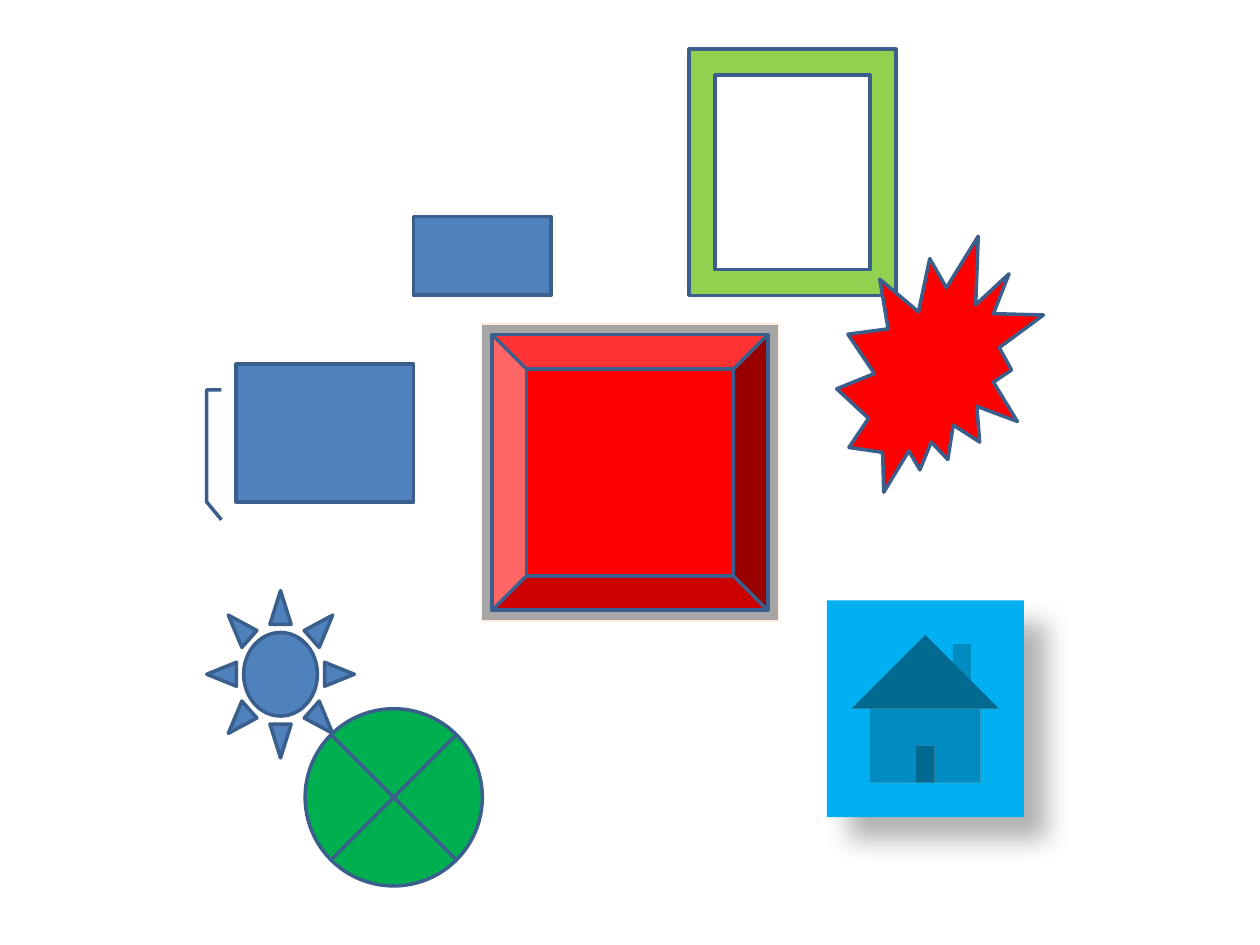
from dataclasses import dataclass

from lxml import etree
from pptx import Presentation
from pptx.dml.color import RGBColor
from pptx.enum.shapes import MSO_SHAPE as Preset
from pptx.oxml.ns import qn
from pptx.util import Inches, Pt


@dataclass(frozen=True)
class Theme:
    red: str = "FF0000"
    lime: str = "92D050"
    green: str = "00B050"
    blue: str = "4F81BD"
    sky: str = "00B0F0"
    grey: str = "A6A6A6"
    cream: str = "FDEADA"
    outline: str = "3A5F8C"
    shadow: str = "000000"
    thin: float = 1
    thick: float = 2


class ShapeBoard:
    """Places preset shapes on a grid of 128 columns by 96 rows."""

    columns, rows = 128, 96

    def __init__(self, deck, theme):
        self.theme = theme
        self.page = deck.slides.add_slide(deck.slide_layouts[6])
        self.column = deck.slide_width / self.columns
        self.row = deck.slide_height / self.rows

    def shape(self, preset, cell, fill, line=None, weight=None):
        left, top, width, height = cell
        box = self.page.shapes.add_shape(
            preset, round(left * self.column), round(top * self.row),
            round(width * self.column), round(height * self.row))
        box.shadow.inherit = False
        box.fill.solid()
        box.fill.fore_color.rgb = RGBColor.from_string(fill)
        if line:
            box.line.color.rgb = RGBColor.from_string(line)
            box.line.width = Pt(weight)
        else:
            box.line.fill.background()
        return box

    def outlined(self, preset, cell, fill):
        return self.shape(preset, cell, fill, self.theme.outline, self.theme.thick)

    def matted(self, preset, cell, fill, margin):
        left, top, width, height = cell
        mat = (left - margin, top - margin, width + 2 * margin, height + 2 * margin)
        self.shape(Preset.RECTANGLE, mat, self.theme.grey, self.theme.cream, self.theme.thin)
        return self.outlined(preset, cell, fill)

    def shadowed(self, preset, cell, fill, blur, distance, angle, opacity):
        box = self.shape(preset, cell, fill)
        effects = box._element.spPr.find(qn("a:effectLst"))
        shadow = etree.SubElement(effects, qn("a:outerShdw"))
        values = {"blurRad": Pt(blur), "dist": Pt(distance), "dir": angle * 60000,
                  "algn": "tl", "rotWithShape": 0}
        for name, value in values.items():
            shadow.set(name, str(value))
        color = etree.SubElement(shadow, qn("a:srgbClr"), val=self.theme.shadow)
        etree.SubElement(color, qn("a:alpha"), val=str(opacity * 1000))
        return box


def main():
    deck = Presentation()
    deck.slide_width, deck.slide_height = Inches(10), Inches(7.5)
    theme = Theme()
    board = ShapeBoard(deck, theme)

    # Bevelled square on a grey mat
    board.matted(Preset.BEVEL, (50, 34, 28, 28), theme.red, margin=1.1)

    # Outlined shapes, back to front: preset, cell, fill
    for preset, cell, fill in (
        (Preset.FRAME, (70, 5, 21, 25), theme.lime),
        (Preset.LINE_CALLOUT_3, (24, 37, 18, 14), theme.blue),
        (Preset.FLOWCHART_SUMMING_JUNCTION, (31, 72, 18, 18), theme.green),
        (Preset.EXPLOSION2, (85, 24, 21, 26), theme.red),
        (Preset.SUN, (21, 60, 15, 17), theme.blue),
        (Preset.RECTANGLE, (42, 22, 14, 8), theme.blue),
    ):
        board.outlined(preset, cell, fill)

    # Home button with a soft shadow
    board.shadowed(Preset.ACTION_BUTTON_HOME, (84, 61, 20, 22), theme.sky,
                   blur=15, distance=18, angle=45, opacity=30)

    deck.save("out.pptx")


if __name__ == "__main__":
    main()
